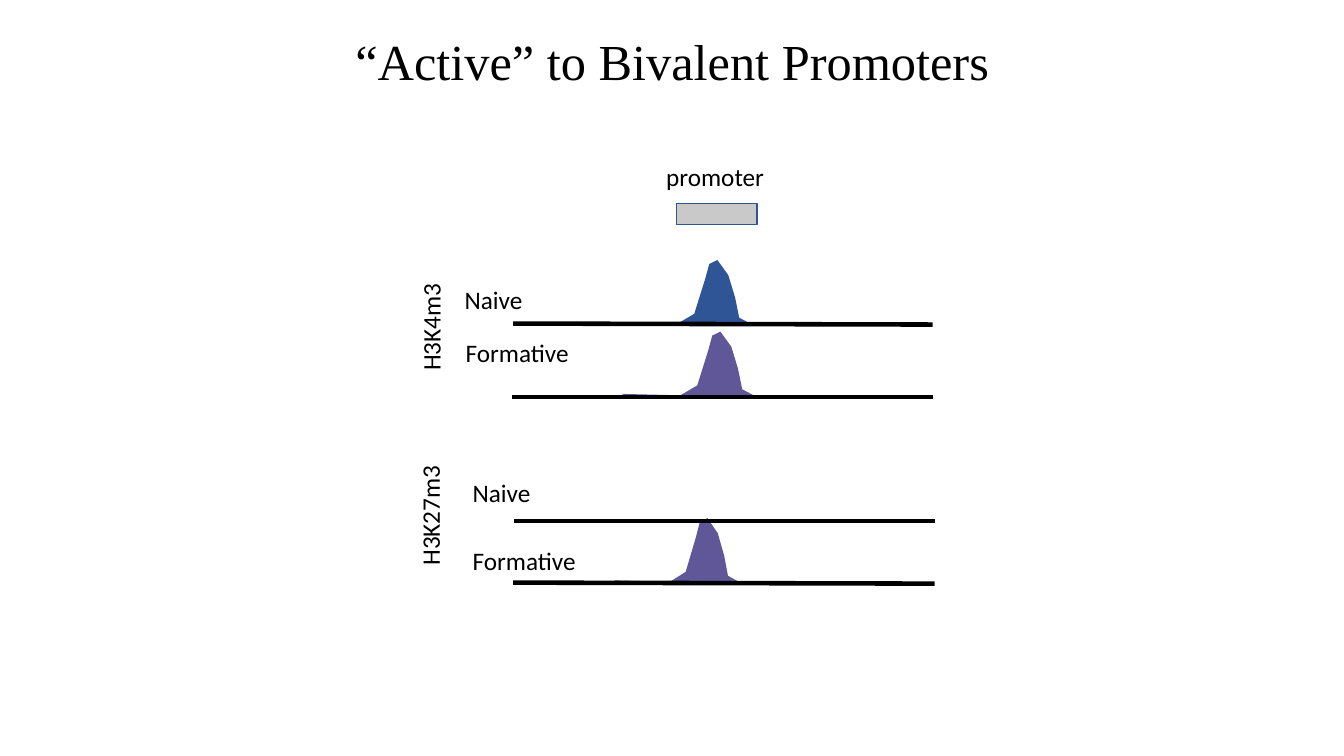
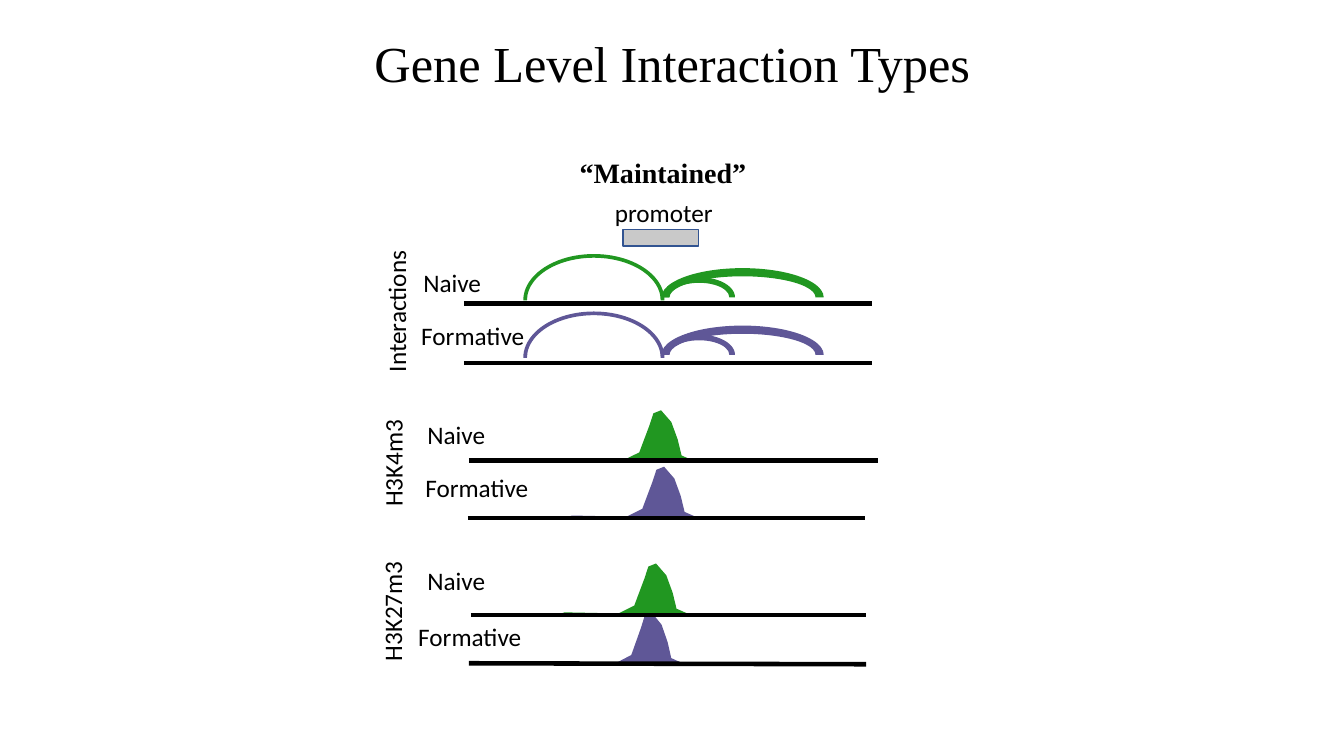
from lxml.etree import SubElement
from pptx import Presentation
from pptx.dml.color import RGBColor
from pptx.enum.shapes import MSO_CONNECTOR, MSO_SHAPE
from pptx.enum.text import MSO_ANCHOR, MSO_AUTO_SIZE, PP_ALIGN
from pptx.oxml.ns import qn
from pptx.util import Pt

PX = 9144
INK = {"black": "000000", "blue": "2F5597", "purple": "5F5797",
       "green": "219721", "grey": "C9C9C9", "edge": "325491"}
SANS, SERIF = "Calibri", "Times New Roman"
PEAK = [(0, 95), (7, 100), (43, 98), (56, 82), (59, 62), (64, 29),
        (67, 6), (73, 0), (81, 23), (86, 57), (89, 88), (100, 100)]
LOOPS = [(658, 275, 71, 40, 0.14), (656, 266, 161, 58, 0.14),
         (519, 252, 140, 92, 0.04)]
STEP = 57


def tint(name):
    return RGBColor.from_string(INK[name])


class Deck:
    def __init__(self):
        self.prs = Presentation()
        self.prs.slide_width = 1333 * PX
        self.prs.slide_height = 750 * PX
        self.slide = None

    def page(self, title, top):
        self.slide = self.prs.slides.add_slide(self.prs.slide_layouts[5])
        head = self.slide.shapes.title
        head.left, head.top = 92 * PX, top * PX
        head.width, head.height = 1150 * PX, 123 * PX
        self.style(head.text_frame, title, 36, SERIF, PP_ALIGN.CENTER)
        head.text_frame.vertical_anchor = MSO_ANCHOR.MIDDLE
        head.text_frame.paragraphs[0].line_spacing = 0.9

    def style(self, frame, text, size, font, align, bold=False):
        frame.word_wrap = True
        frame.auto_size = MSO_AUTO_SIZE.NONE
        para = frame.paragraphs[0]
        para.alignment = align
        run = para.add_run()
        run.text = text
        run.font.size = Pt(size)
        run.font.name = font
        run.font.bold = bold
        run.font.color.rgb = tint("black")

    def text(self, box, text, size=18, font=SANS, align=PP_ALIGN.LEFT,
             bold=False, turn=0):
        item = self.slide.shapes.add_textbox(*(n * PX for n in box))
        item.rotation = turn
        self.style(item.text_frame, text, size, font, align, bold)

    def paint(self, item, fill, edge=None):
        item.shadow.inherit = False
        item.fill.solid()
        item.fill.fore_color.rgb = tint(fill)
        if edge:
            item.line.color.rgb = tint(edge)
            item.line.width = Pt(1)
        else:
            item.line.fill.background()

    def gene(self, box, label):
        item = self.slide.shapes.add_shape(
            MSO_SHAPE.RECTANGLE, *(n * PX for n in box))
        self.paint(item, "grey", "edge")
        self.text(label, "promoter")

    def loop(self, left, top, width, height, thick, fill):
        item = self.slide.shapes.add_shape(
            MSO_SHAPE.BLOCK_ARC, left * PX, top * PX, width * PX, height * PX)
        for i, value in enumerate((108, 0, thick)):
            item.adjustments[i] = value
        self.paint(item, fill)

    def peak(self, left, top, width, height, fill):
        dots = [(round((left + width * x / 100) * PX),
                 round((top + height * y / 100) * PX)) for x, y in PEAK]
        curve = self.slide.shapes.build_freeform(*dots[0])
        curve.add_line_segments(dots[1:], close=True)
        self.paint(curve.convert_to_shape(), fill)

    def line(self, *ends):
        item = self.slide.shapes.add_connector(
            MSO_CONNECTOR.STRAIGHT, *(n * PX for n in ends))
        item.line.color.rgb = tint("black")
        item.line.width = Pt(3.25)
        SubElement(item._element.spPr, qn("a:effectLst"))

    def group(self, name, box, peaks, lines, labels):
        for peak in peaks:
            self.peak(*peak)
        for ends in lines:
            self.line(*ends)
        self.text(box, name, align=PP_ALIGN.CENTER, turn=270)
        for (left, top), word in zip(labels, ("Naive", "Formative")):
            self.text((left, top, 157, 45), word)


def main():
    deck = Deck()
    deck.page("“Active” to Bivalent Promoters", 2)
    deck.gene((671, 202, 80, 21), (651, 155, 200, 55))
    deck.group("H3K4m3", (308, 301, 245, 47),
               [(613, 258, 135, 65, "blue"), (616, 329, 135, 65, "purple")],
               [(509, 321, 925, 322), (508, 394, 925, 394)],
               [(451, 277), (452, 330)])
    deck.group("H3K27m3", (317, 488, 226, 47),
               [(609, 514, 127, 65, "purple")],
               [(510, 517, 927, 517), (509, 578, 927, 579)],
               [(459, 469), (459, 536)])

    deck.page("Gene Level Interaction Types", 4)
    deck.text((557, 149, 201, 44), "“Maintained”", 20, SERIF,
              PP_ALIGN.CENTER, True)
    deck.gene((618, 228, 75, 16), (600, 191, 188, 43))
    for row, fill in enumerate(("green", "purple")):
        for left, top, width, height, thick in LOOPS:
            deck.loop(left, top + row * STEP, width, height, thick, fill)
    deck.group("Interactions", (297, 289, 192, 40), [],
               [(460, 301, 865, 301), (460, 360, 865, 360)],
               [(410, 260), (408, 313)])
    deck.group("H3K4m3", (296, 437, 192, 45),
               [(563, 407, 127, 51, "green"), (566, 463, 127, 51, "purple")],
               [(465, 457, 871, 457), (464, 514, 858, 514)],
               [(414, 411), (412, 464)])
    deck.group("H3K27m3", (303, 584, 177, 45),
               [(558, 559, 127, 51, "green"), (559, 608, 120, 51, "purple")],
               [(467, 610, 859, 610), (465, 658, 859, 659)],
               [(414, 556), (405, 611)])
    deck.prs.save("out.pptx")


if __name__ == "__main__":
    main()
